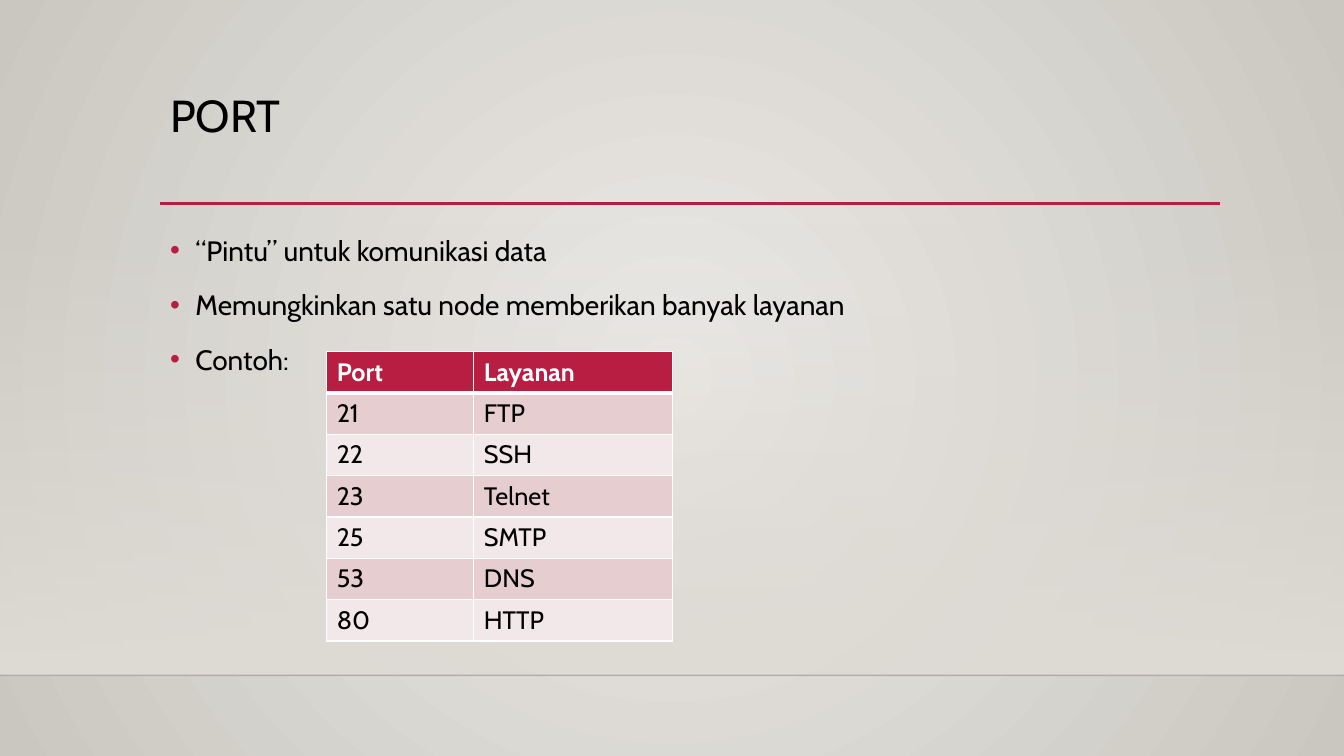
from lxml import etree
from pptx import Presentation
from pptx import util as u
from pptx.dml.color import RGBColor
from pptx.enum import shapes, text
from pptx.oxml import parse_xml
from pptx.oxml.ns import nsdecls, qn

TITLE = "PORT"
POINTS = [
    "“Pintu” untuk komunikasi data",
    "Memungkinkan satu node memberikan banyak layanan",
    "Contoh:",
]
SERVICES = [
    ("Port", "Layanan"),
    ("21", "FTP"),
    ("22", "SSH"),
    ("23", "Telnet"),
    ("25", "SMTP"),
    ("53", "DNS"),
    ("80", "HTTP"),
]
COLORS = {
    "centre": "ECEAE7", "edge": "CAC7C1", "floor": "DFDBD5", "horizon": "000001",
    "accent": "B71E42", "ink": "000000", "white": "FFFFFF",
    "odd": "E6CDCF", "even": "F3E8E9",
}
FONT = "Cabin"
WIDTH, HEIGHT = 13.33, 7.5
LEFT, CONTENT_WIDTH = 1.59, 10.5
RULE_Y, HORIZON_Y = 2.02, 6.7
PANEL_TOP = 2.21
TABLE_LEFT, TABLE_TOP = 3.24, 3.49
COLUMNS, ROW_HEIGHT = (1.46, 1.97), 0.41


def rgb(name):
    return RGBColor.from_string(COLORS[name])


def set_gradient(fill, owner, stops, direction):
    """Give owner a gradient of (percent, colour, opacity) stops."""
    fill.gradient()
    gradient = next(owner.iter(qn("a:gradFill")))
    marks = "".join(
        f'<a:gs pos="{at * 1000}"><a:srgbClr val="{COLORS[color]}">'
        f'<a:alpha val="{opacity * 1000}"/></a:srgbClr></a:gs>'
        for at, color, opacity in stops)
    gradient.getparent().replace(gradient, parse_xml(
        f'<a:gradFill {nsdecls("a")} rotWithShape="1">'
        f'<a:gsLst>{marks}</a:gsLst>{direction}</a:gradFill>'))


def add_line(slide, left, right, y, color, width):
    line = slide.shapes.add_connector(
        shapes.MSO_CONNECTOR.STRAIGHT, *map(u.Inches, (left, y, right, y)))
    line.line.color.rgb = rgb(color)
    line.line.width = u.Pt(width)
    etree.SubElement(line.element.spPr, qn("a:effectLst"))
    return line


def style(paragraph, size, color, bold=False):
    font = paragraph.font
    font.name, font.size, font.bold = FONT, u.Pt(size), bold
    font.color.rgb = rgb(color)


def add_text(slide, top, height, lines, size, spacing):
    box = slide.shapes.add_textbox(
        *map(u.Inches, (LEFT, top, CONTENT_WIDTH, height)))
    frame = box.text_frame
    frame.word_wrap = True
    frame.vertical_anchor = text.MSO_ANCHOR.TOP
    frame.text = "\n".join(lines)
    for paragraph in frame.paragraphs:
        style(paragraph, size, "ink")
        paragraph.line_spacing = spacing
    return frame.paragraphs


def add_bullet(paragraph):
    paragraph.space_before = u.Pt(10)
    props = paragraph._p.get_or_add_pPr()
    indent = u.Inches(0.25)
    props.set("marL", str(indent))
    props.set("indent", str(-indent))
    bullet = (
        f'<a:buClr {nsdecls("a")}><a:srgbClr val="{COLORS["accent"]}"/></a:buClr>',
        f'<a:buFont {nsdecls("a")} typeface="Arial"/>',
        f'<a:buChar {nsdecls("a")} char="•"/>',
    )
    for part in bullet:
        props.find(qn("a:defRPr")).addprevious(parse_xml(part))


def set_borders(cell, row):
    widths = {"L": 1, "R": 1, "T": 3 if row == 1 else 1, "B": 3 if row == 0 else 1}
    props = cell._tc.get_or_add_tcPr()
    for place, (side, width) in enumerate(widths.items()):
        props.insert(place, parse_xml(
            f'<a:ln{side} {nsdecls("a")} w="{u.Pt(width)}"><a:solidFill>'
            f'<a:srgbClr val="{COLORS["white"]}"/></a:solidFill></a:ln{side}>'))


def add_services(slide):
    table = slide.shapes.add_table(
        len(SERVICES), len(COLUMNS),
        *map(u.Inches, (TABLE_LEFT, TABLE_TOP, sum(COLUMNS),
                        ROW_HEIGHT * len(SERVICES)))).table
    for column, width in zip(table.columns, COLUMNS):
        column.width = u.Inches(width)
    for r, service in enumerate(SERVICES):
        header = r == 0
        for c, wording in enumerate(service):
            cell = table.cell(r, c)
            cell.text = wording
            style(cell.text_frame.paragraphs[0], 18,
                  "white" if header else "ink", header)
            cell.fill.solid()
            cell.fill.fore_color.rgb = rgb(
                "accent" if header else "odd" if r % 2 else "even")
            set_borders(cell, r)


def main():
    deck = Presentation()
    deck.slide_width, deck.slide_height = u.Inches(WIDTH), u.Inches(HEIGHT)
    slide = deck.slides.add_slide(deck.slide_layouts[6])
    set_gradient(
        slide.background.fill, slide.element,
        [(0, "centre", 100), (100, "edge", 100)],
        '<a:path path="circle"><a:fillToRect l="50000" t="50000" '
        'r="50000" b="50000"/></a:path>')

    panel = slide.shapes.add_shape(
        shapes.MSO_SHAPE.RECTANGLE,
        *map(u.Inches, (0, PANEL_TOP, WIDTH, HORIZON_Y - PANEL_TOP)))
    panel.shadow.inherit = False
    panel.line.fill.background()
    set_gradient(panel.fill, panel.element,
                 [(0, "floor", 0), (100, "floor", 100)],
                 '<a:lin ang="5400000" scaled="0"/>')

    horizon = add_line(slide, 0, WIDTH, HORIZON_Y, "horizon", 1)
    horizon_color = next(horizon.line._ln.iter(qn("a:srgbClr")))
    etree.SubElement(horizon_color, qn("a:alpha"), val="20000")
    add_line(slide, LEFT, 12.1, RULE_Y, "accent", 2.5)

    add_text(slide, 0.88, 1.15, [TITLE], 32, 0.9)
    for paragraph in add_text(slide, 2.2, 3.77, POINTS, 20, 1.2):
        add_bullet(paragraph)
    add_services(slide)
    deck.save("out.pptx")


if __name__ == "__main__":
    main()
